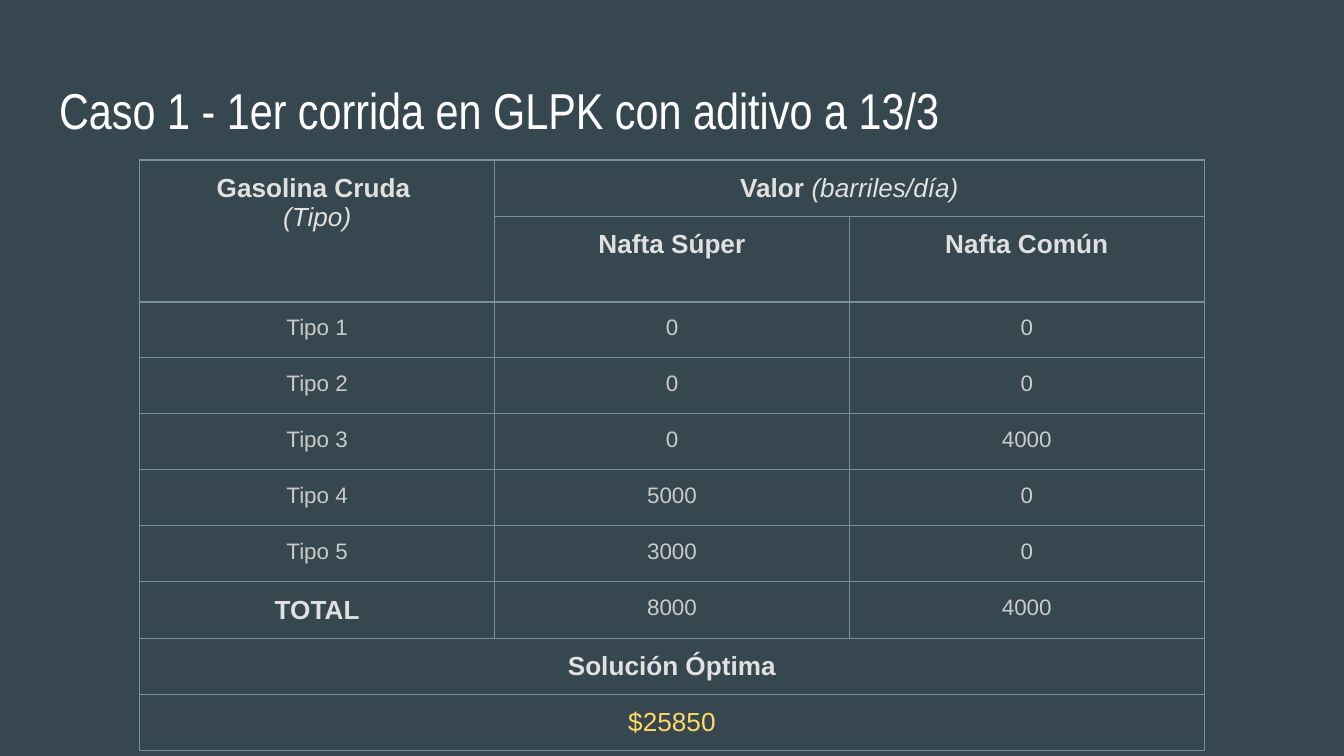
from lxml.etree import SubElement
from pptx import Presentation
from pptx.dml.color import RGBColor as RGB
from pptx.enum.text import MSO_ANCHOR as ANCHOR, MSO_AUTO_SIZE as AUTO, PP_ALIGN as ALIGN
from pptx.oxml.ns import qn
from pptx.util import Inches, Pt

TITLE = "Caso 1 - 1er corrida en GLPK con aditivo a 13/3"
VALUES = [
    ("Tipo 1", "0", "0"),
    ("Tipo 2", "0", "0"),
    ("Tipo 3", "0", "4000"),
    ("Tipo 4", "5000", "0"),
    ("Tipo 5", "3000", "0"),
]
TOTAL = ("TOTAL", "8000", "4000")

THEME = {
    "background": "37474F",
    "border": "78909C",
    "border_pt": 0.75,
    "title": ("Arial Narrow", 27, "FFFFFF", False, False),
    "head": ("Arial", 14, "E0E0E0", True, False),
    "unit": ("Arial", 14, "E0E0E0", False, True),
    "body": ("Arial", 12, "CACACA", False, False),
    "result": ("Arial", 14, "FFD966", False, False),
}

HEADERS = [
    (0, 0, [[("Gasolina Cruda ", "head")], [("(Tipo)", "unit")]]),
    (0, 1, [[("Valor ", "head"), ("(barriles/día)", "unit")]]),
    (1, 1, [[("Nafta Súper", "head")]]),
    (1, 2, [[("Nafta Común", "head")]]),
]
FOOTERS = [
    (8, 0, [[("Solución Óptima", "head")]]),
    (9, 0, [[("$25850", "result")]]),
]
MERGES = [((0, 0), (1, 0)), ((0, 1), (0, 2)), ((8, 0), (8, 2)), ((9, 0), (9, 2))]
ROWS, COLS = 10, 3
SLIDE_W, SLIDE_H = Inches(10), Inches(10 * 9 / 16)
COL_W, ROW_H = Inches(2.64), Inches(5 / 12)


def style_run(r, style):
    f = r.font
    f.name, size, color, f.bold, f.italic = THEME[style]
    f.size = Pt(size)
    f.color.rgb = RGB.from_string(color)


def set_insets(target):
    target.margin_left = target.margin_right = Inches(0.1)
    target.margin_top = target.margin_bottom = Inches(0.1)


def set_borders(cell):
    tc_pr = cell._tc.get_or_add_tcPr()
    for i, side in enumerate(("lnL", "lnR", "lnT", "lnB")):
        ln = SubElement(tc_pr, qn(f"a:{side}"), w=str(Pt(THEME["border_pt"])))
        fill = SubElement(ln, qn("a:solidFill"))
        SubElement(fill, qn("a:srgbClr"), val=THEME["border"])
        tc_pr.insert(i, ln)


def write_cell(cell, paragraphs):
    tf = cell.text_frame
    for i, runs in enumerate(paragraphs):
        p = tf.add_paragraph() if i else tf.paragraphs[0]
        p.alignment = ALIGN.CENTER
        for text, style in runs:
            r = p.add_run()
            r.text = text
            style_run(r, style)


def add_title(s):
    sp = s.shapes.title
    sp.left, sp.top, sp.width, sp.height = map(Inches, (0.34, 0.49, 9.32, 0.63))
    tf = sp.text_frame
    tf.text = TITLE
    tf.auto_size = AUTO.NONE
    tf.vertical_anchor = ANCHOR.TOP
    set_insets(tf)
    p = tf.paragraphs[0]
    p.alignment = ALIGN.LEFT
    style_run(p.runs[0], "title")


def add_results(s):
    table = s.shapes.add_table(
        ROWS, COLS, Inches(1.04), Inches(1.19), COL_W * COLS, ROW_H * ROWS
    ).table
    table.first_row = table.horz_banding = False
    for column in table.columns:
        column.width = COL_W
    for row in table.rows:
        row.height = ROW_H
    for cell in table.iter_cells():
        cell.fill.background()
        set_insets(cell)
        set_borders(cell)
    for start, end in MERGES:
        table.cell(*start).merge(table.cell(*end))

    body = [
        (i, j, [[(text, "head" if text == "TOTAL" else "body")]])
        for i, values in enumerate(VALUES + [TOTAL], start=2)
        for j, text in enumerate(values)
    ]
    for i, j, paragraphs in HEADERS + body + FOOTERS:
        write_cell(table.cell(i, j), paragraphs)


def main():
    prs = Presentation()
    prs.slide_width, prs.slide_height = SLIDE_W, SLIDE_H
    s = prs.slides.add_slide(prs.slide_layouts[5])
    s.background.fill.solid()
    s.background.fill.fore_color.rgb = RGB.from_string(THEME["background"])
    add_title(s)
    add_results(s)
    prs.save("out.pptx")


if __name__ == "__main__":
    main()
